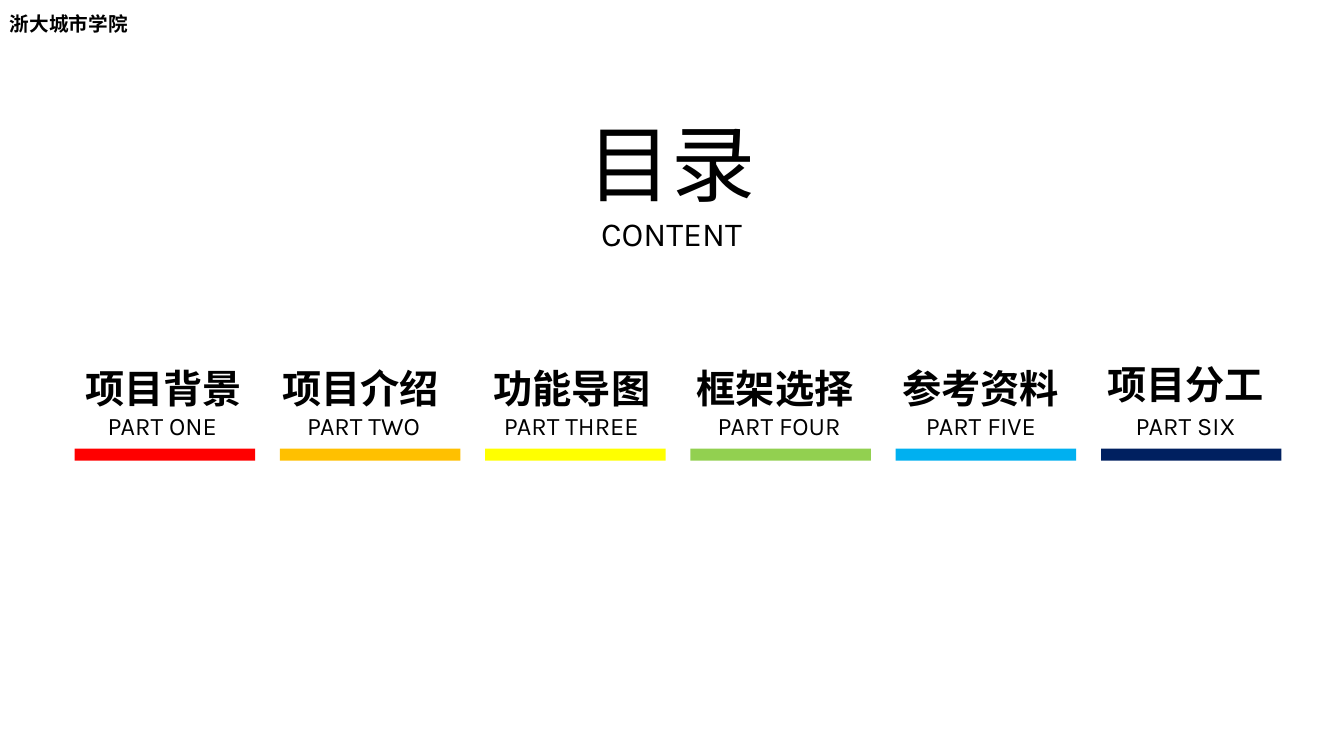
from dataclasses import dataclass

from pptx import Presentation
from pptx.dml.color import RGBColor as Rgb
from pptx.enum.lang import MSO_LANGUAGE_ID as Lang
from pptx.enum.shapes import MSO_SHAPE as Shape
from pptx.enum.text import MSO_ANCHOR as Anchor, MSO_AUTO_SIZE as Fit, PP_ALIGN as Align
from pptx.util import Emu, Pt


@dataclass(frozen=True)
class Theme:
    font: str = "Karla"
    ink: str = "000000"
    head: int = 60
    sub: int = 24
    topic: int = 28
    tag: int = 18
    mark: int = 14
    lead: float = 1.3


THEME = Theme()
COLS = 6

# topic, its left shift and drop; tag, its left shift and width; bar colour
TOPICS = [
    ("项目背景", -8, 3, "PART ONE", 7, 160, "FF0000"),
    ("项目介绍", -16, 3, "PART TWO", -4, 174, "FFC000"),
    ("功能导图", -10, 3, "PART THREE", -8, 187, "FFFF00"),
    ("框架选择", -12, 3, "PART FOUR", 11, 154, "92D050"),
    ("参考资料", -12, 3, "PART FIVE", 18, 133, "00B0F0"),
    ("项目分工", -12, 0, "PART SIX", 17, 134, "002060"),
]


def px(n):
    """100 px to the inch."""
    return Emu(round(n * 9144))


def place(shape, x, y, w, h):
    shape.left, shape.top, shape.width, shape.height = map(px, (x, y, w, h))


def write(shape, lines, align=Align.CENTER, bold=False, lead=None, wrap=True):
    frame = shape.text_frame
    frame.word_wrap = wrap
    frame.auto_size = Fit.SHAPE_TO_FIT_TEXT
    frame.vertical_anchor = Anchor.TOP
    for i, (text, size) in enumerate(lines):
        para = frame.add_paragraph() if i else frame.paragraphs[0]
        para.alignment = align
        if lead:
            para.line_spacing = lead
        run = para.add_run()
        run.text = text
        font = run.font
        font.name, font.size, font.bold = THEME.font, Pt(size), bold
        font.color.rgb = Rgb.from_string(THEME.ink)
        font.language_id = Lang.SIMPLIFIED_CHINESE


def label(slide, box, text, size, **style):
    shape = slide.shapes.add_textbox(*map(px, box))
    write(shape, [(text, size)], **style)


# Heading with its subtitle
def heading(slide, x, y, w, h):
    title = slide.shapes.title
    place(title, x, y, w, h)
    write(title, [("目录", THEME.head), ("CONTENT", THEME.sub)], wrap=False)


# One column: topic, tag and colour bar
def column(slide, x, y, w, item):
    topic, shift, drop, tag, inset, width, hue = item
    label(slide, (x + inset, y + 54, width, 49), tag, THEME.tag, lead=THEME.lead)
    label(slide, (x + shift, y + drop, 192, 71), topic, THEME.topic,
          bold=True, lead=THEME.lead)
    bar = slide.shapes.add_shape(Shape.RECTANGLE, *map(px, (x, y + 106, w, 12)))
    bar.shadow.inherit = False
    bar.fill.solid()
    bar.fill.fore_color.rgb = Rgb.from_string(hue)
    bar.line.fill.background()


# Row of equal columns
def agenda(slide, x, y, w):
    bar = 179
    step = (w - bar) / (COLS - 1)
    for i, item in enumerate(TOPICS):
        column(slide, x + i * step, y, bar, item)


def main():
    deck = Presentation()
    deck.slide_width, deck.slide_height = px(1333), px(750)
    slide = deck.slides.add_slide(deck.slide_layouts[5])
    heading(slide, 572, 106, 188, 151)
    agenda(slide, 74, 339, 1197)
    # School name in the corner
    label(slide, (0, 7, 137, 34), "浙大城市学院", THEME.mark,
          align=Align.LEFT, bold=True, wrap=False)
    deck.save("out.pptx")


if __name__ == "__main__":
    main()
